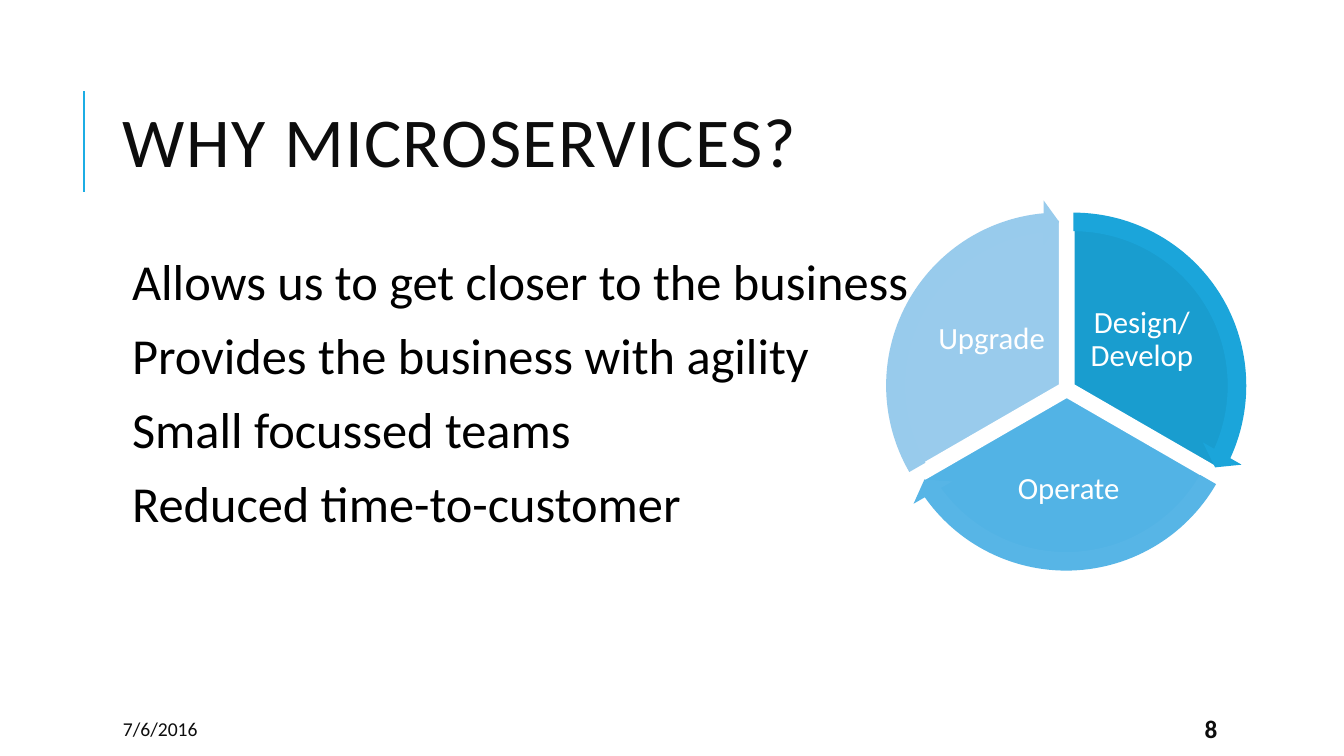
import pptx
import pptx.dml.color
import pptx.enum.shapes
import pptx.enum.text
import pptx.oxml
import pptx.oxml.ns
import pptx.util
from pptx.util import Inches

COLORS = {
    "accent": "1CADE4",
    "heading": "0D0D0D",
    "body": "000000",
    "white": "FFFFFF",
    "design": "199DCF",
    "design arrow": "1BA5DA",
    "operate": "52B3E5",
    "operate arrow": "57B5E6",
    "upgrade": "99CBEC",
    "upgrade arrow": "98CBEC",
}
COLORS = {name: pptx.dml.color.RGBColor.from_string(value) for name, value in COLORS.items()}
FONT = "Calibri"
SHAPES = pptx.enum.shapes.MSO_SHAPE
MIDDLE = pptx.enum.text.MSO_ANCHOR.MIDDLE


def add_text(box, lines, size, color, inset=None, bold=False, anchor=MIDDLE):
    """Add a wrapping text box and return its text frame."""
    frame = slide.shapes.add_textbox(*map(Inches, box)).text_frame
    frame.word_wrap = True
    frame.vertical_anchor = anchor
    if inset is not None:
        frame.margin_left = frame.margin_right = Inches(inset)
        frame.margin_top = frame.margin_bottom = Inches(inset)
    frame.text = "\n".join(lines)
    for paragraph in frame.paragraphs:
        paragraph.font.name = FONT
        paragraph.font.size = pptx.util.Pt(size)
        paragraph.font.bold = bold
        paragraph.font.color.rgb = COLORS[color]
    return frame


def add_cycle_shape(kind, left, top, size, fill, adjustments):
    shape = slide.shapes.add_shape(kind, Inches(left), Inches(top), Inches(size), Inches(size))
    shape.shadow.inherit = False
    shape.fill.solid()
    shape.fill.fore_color.rgb = COLORS[fill]
    shape.line.fill.background()
    for index, value in enumerate(adjustments):
        shape.adjustments[index] = value
    return shape


presentation = pptx.Presentation()
presentation.slide_width = Inches(13.33)
presentation.slide_height = Inches(7.5)
slide = presentation.slides.add_slide(presentation.slide_layouts[6])

# Title with its accent rule
rule = slide.shapes.add_connector(
    pptx.enum.shapes.MSO_CONNECTOR.STRAIGHT, Inches(0.83), Inches(1.9), Inches(0.83), Inches(0.9)
)
rule.line.color.rgb = COLORS["accent"]
rule.line.width = pptx.util.Pt(1.5)
rule.element.spPr.append(pptx.oxml.parse_xml(f'<a:effectLst {pptx.oxml.ns.nsdecls("a")}/>'))

title = add_text((1.12, 0.64, 10.63, 1.64), ["WHY MICROSERVICES?"], 50, "heading")
title.paragraphs[0].line_spacing = 0.8
title.paragraphs[0].runs[0].font._element.set("spc", "100")

# Benefits
benefits = add_text(
    (1.12, 2.5, 10.63, 4.4),
    [
        "Allows us to get closer to the business",
        "Provides the business with agility",
        "Small focussed teams",
        "Reduced time-to-customer",
    ],
    36, "body", inset=0.05, anchor=pptx.enum.text.MSO_ANCHOR.TOP,
)
benefits.margin_left = Inches(0.19)
for index, paragraph in enumerate(benefits.paragraphs):
    paragraph.line_spacing = 0.9
    paragraph.space_before = pptx.util.Pt(12 if index else 0)
    paragraph.space_after = pptx.util.Pt(2)

# Footer
add_text((1.12, 7.08, 2.36, 0.3), ["7/6/2016"], 14, "heading")
add_text((11.85, 7.08, 1.06, 0.3), ["8"], 18, "heading", bold=True)

# Cycle: three sectors of 72 units each, 216 to the full turn
SECTOR, TURN, TOP_ANGLE = 72, 216, 162
PIE_SIZE, ARROW_SIZE = 3.28, 3.69
stages = [
    # label, label box, pie left and top, color
    ("Design/ Develop", (10.74, 2.88, 1.17, 0.98), 9.01, 2.18, "design"),
    ("Operate", (9.72, 4.43, 1.76, 0.86), 8.94, 2.3, "operate"),
    ("Upgrade", (9.25, 2.88, 1.17, 0.98), 8.87, 2.18, "upgrade"),
]
starts = [(TOP_ANGLE + SECTOR * index) % TURN for index in range(len(stages))]

for start, (label, box, left, top, color) in zip(starts, stages):
    pie = add_cycle_shape(SHAPES.PIE, left, top, PIE_SIZE, color, [start, (start + SECTOR) % TURN])
    pie.line.color.rgb = COLORS["white"]
    pie.line.width = pptx.util.Pt(1.25)
    caption = add_text(box, [label], 22, "white", inset=0.03).paragraphs[0]
    caption.alignment = pptx.enum.text.PP_ALIGN.CENTER
    caption.line_spacing = 0.9

for index, (start, (_, _, left, top, color)) in enumerate(zip(starts, stages)):
    add_cycle_shape(
        SHAPES.CIRCULAR_ARROW, left - 0.21, top - 0.2, ARROW_SIZE, f"{color} arrow",
        [0.05, 3.28, 14.72 + SECTOR * index, start, 0.06],
    )

presentation.save("out.pptx")
